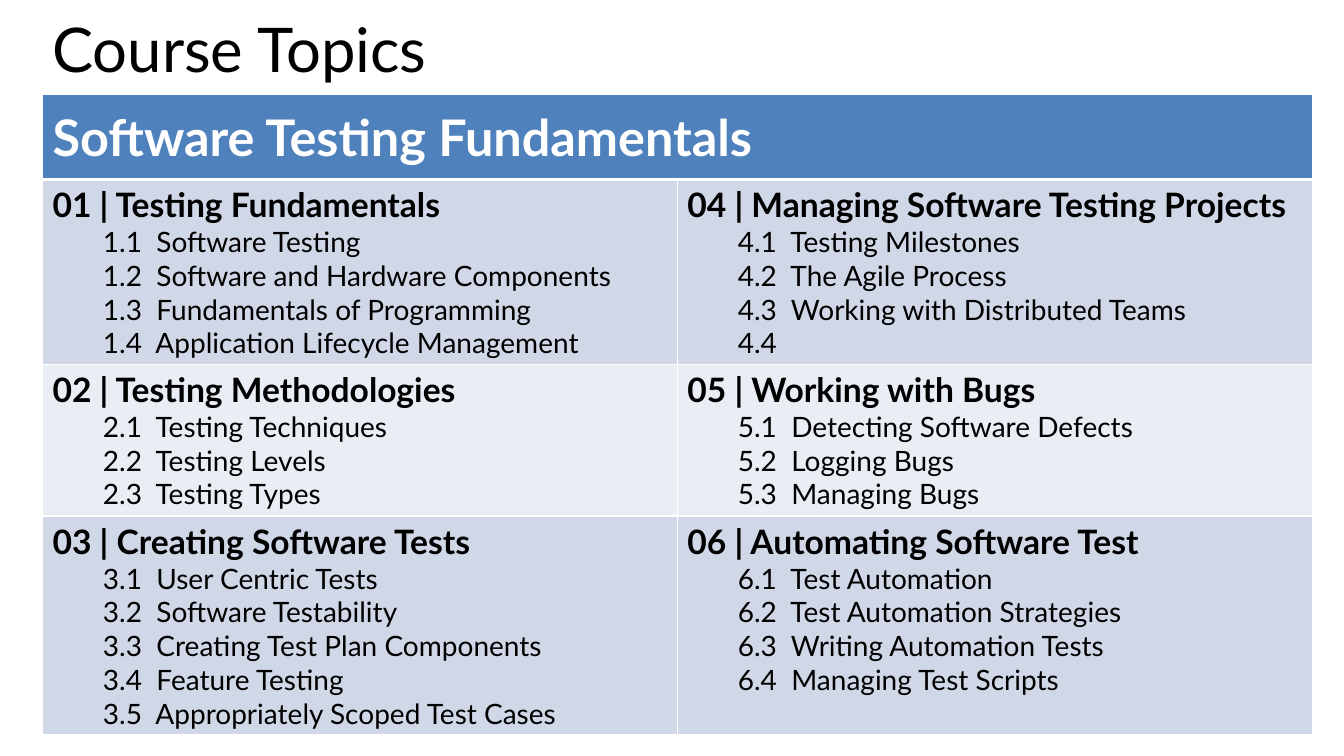
"""Build the course topics slide with its table of testing modules."""
from dataclasses import dataclass

from lxml import etree
from pptx import Presentation
from pptx.dml.color import RGBColor
from pptx.enum.text import MSO_ANCHOR
from pptx.oxml.ns import qn
from pptx.util import Cm, Pt

TOP = MSO_ANCHOR.TOP
MIDDLE = MSO_ANCHOR.MIDDLE

FONT = "Lato"
BLACK = "000000"
WHITE = "FFFFFF"
HEADER_BLUE = "4F81BD"
BAND_FILLS = ("D0D8E8", "E9EDF4")

LEFT, WIDTH = Cm(1.07), Cm(32)
TABLE_TOP = Cm(2.39)
ROW_HEIGHTS = (Cm(2.13), Cm(4.66), Cm(3.82), Cm(5.5))
TOPIC_INDENT = Cm(1.27)
THIN, THICK = Pt(1), Pt(3)


@dataclass
class Module:
    """One numbered course module and its topics."""
    number: int
    name: str
    topics: tuple[str, ...]

    def lines(self) -> list[str]:
        """Return the heading followed by the numbered topics."""
        heading = f"{self.number:02d} | {self.name}"
        topics = [f"{self.number}.{index}  {topic}".rstrip()
                  for index, topic in enumerate(self.topics, 1)]
        return [heading, *topics]


MODULES = (
    Module(1, "Testing Fundamentals", (
        "Software Testing", "Software and Hardware Components",
        "Fundamentals of Programming", "Application Lifecycle Management")),
    Module(2, "Testing Methodologies", (
        "Testing Techniques", "Testing Levels", "Testing Types")),
    Module(3, "Creating Software Tests", (
        "User Centric Tests", "Software Testability",
        "Creating Test Plan Components", "Feature Testing",
        "Appropriately Scoped Test Cases")),
    Module(4, "Managing Software Testing Projects", (
        "Testing Milestones", "The Agile Process",
        "Working with Distributed Teams", "")),
    Module(5, "Working with Bugs", (
        "Detecting Software Defects", "Logging Bugs", "Managing Bugs")),
    Module(6, "Automating Software Test", (
        "Test Automation", "Test Automation Strategies",
        "Writing Automation Tests", "Managing Test Scripts")),
)
MODULE_ROWS = 3


def color(value: str) -> RGBColor:
    """Turn a hex string into a colour."""
    return RGBColor.from_string(value)


def format_paragraph(paragraph, size: int, value: str, bold: bool = False) -> None:
    """Set the font of every run in a paragraph."""
    for span in paragraph.runs:
        span.font.name = FONT
        span.font.size = Pt(size)
        span.font.bold = bold
        span.font.color.rgb = color(value)


def style_cell(cell, fill: str, bottom: int = THIN, top: int = THIN) -> None:
    """Give a cell white borders and a solid fill."""
    properties = cell._tc.get_or_add_tcPr()
    for side, width in (("L", THIN), ("R", THIN), ("T", top), ("B", bottom)):
        line = etree.SubElement(properties, qn(f"a:ln{side}"), w=str(width))
        solid = etree.SubElement(line, qn("a:solidFill"))
        etree.SubElement(solid, qn("a:srgbClr"), val=WHITE)
    cell.fill.solid()
    cell.fill.fore_color.rgb = color(fill)


def add_title(page, text: str) -> None:
    """Add the slide title."""
    box = page.shapes.add_textbox(LEFT, Cm(0.51), WIDTH, Cm(2.95))
    frame = box.text_frame
    frame.word_wrap = True
    frame.vertical_anchor = TOP
    frame.text = text
    frame.paragraphs[0].line_spacing = 0.8
    format_paragraph(frame.paragraphs[0], 44, BLACK)


def fill_module(cell, module: Module) -> None:
    """Write a module's heading and indented topics into a cell."""
    cell.text_frame.text = "\n".join(module.lines())
    heading, *topics = cell.text_frame.paragraphs
    format_paragraph(heading, 24, BLACK, bold=True)
    for paragraph in topics:
        paragraph.level = 1
        properties = paragraph._p.get_or_add_pPr()
        properties.set("marL", str(TOPIC_INDENT))
        properties.set("indent", "0")
        format_paragraph(paragraph, 20, BLACK)


def add_topics_table(page, heading: str) -> None:
    """Add the table with a merged header and two columns of modules."""
    frame = page.shapes.add_table(MODULE_ROWS + 1, 2, LEFT, TABLE_TOP,
                                  WIDTH, sum(ROW_HEIGHTS))
    table = frame.table
    for row, height in zip(table.rows, ROW_HEIGHTS):
        row.height = height

    header = table.cell(0, 0)
    header.merge(table.cell(0, 1))
    header.text_frame.text = heading
    header.vertical_anchor = MIDDLE
    format_paragraph(header.text_frame.paragraphs[0], 36, WHITE, bold=True)
    for cell in table.rows[0].cells:
        style_cell(cell, HEADER_BLUE, bottom=THICK)

    for index, module in enumerate(MODULES):
        column, band = divmod(index, MODULE_ROWS)
        cell = table.cell(band + 1, column)
        fill_module(cell, module)
        style_cell(cell, BAND_FILLS[band % 2], top=THIN if band else THICK)


def main() -> None:
    """Create and save the deck."""
    deck = Presentation()
    deck.slide_width, deck.slide_height = Cm(33.87), Cm(19.05)
    page = deck.slides.add_slide(deck.slide_layouts[6])
    add_title(page, "Course Topics")
    add_topics_table(page, "Software Testing Fundamentals")
    deck.save("out.pptx")


if __name__ == "__main__":
    main()
